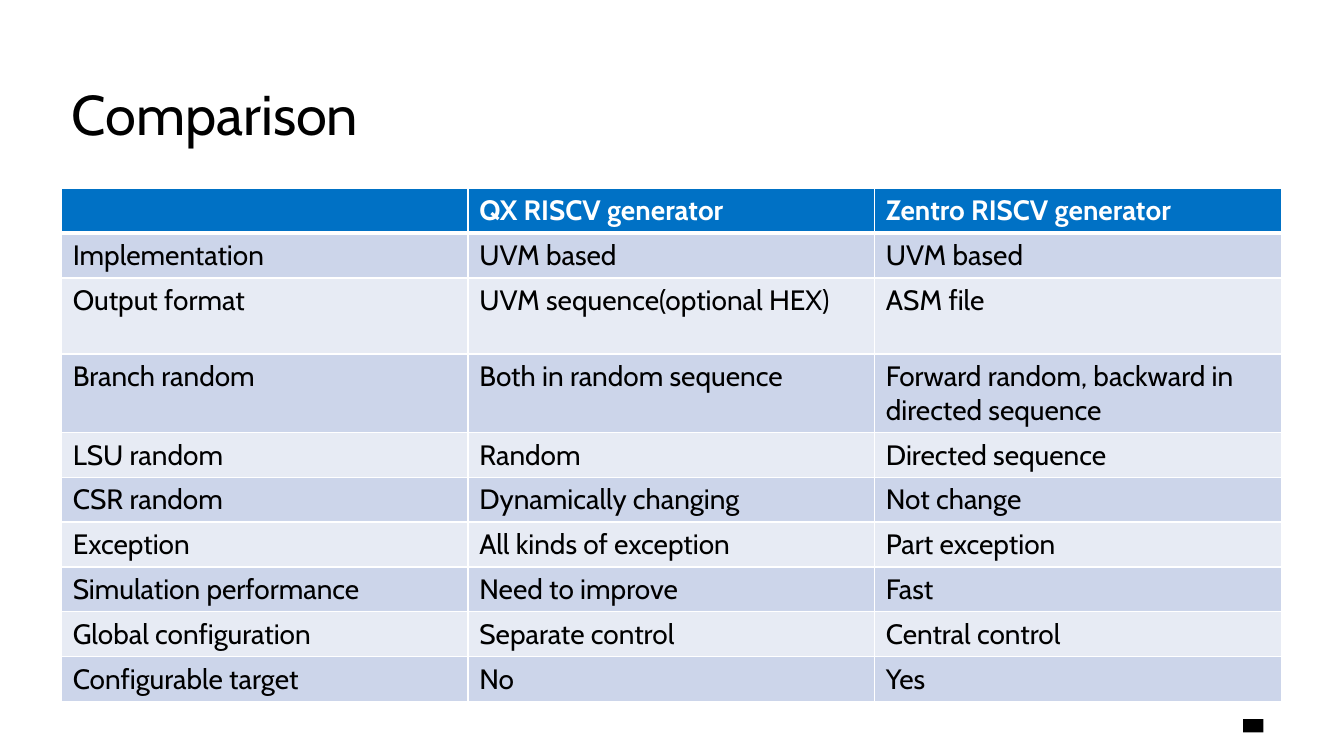
import dataclasses

import pptx
import pptx.dml.color
import pptx.enum.shapes
import pptx.enum.text
import pptx.oxml
import pptx.oxml.ns
import pptx.util

Inches = pptx.util.Inches
Pt = pptx.util.Pt


@dataclasses.dataclass(frozen=True)
class Theme:
    font: str = "Cabin"
    title_size: float = 36
    table_size: float = 18
    black: str = "000000"
    white: str = "FFFFFF"
    header: str = "0071C5"
    bands: tuple = ("CCD5EA", "E7EBF4")
    border: float = 0.96
    header_border: float = 3


THEME = Theme()

COMPARISON = [
    ("", "QX RISCV generator", "Zentro RISCV generator"),
    ("Implementation", "UVM based", "UVM based"),
    ("Output format", "UVM sequence(optional HEX)", "ASM file"),
    ("Branch random", "Both in random sequence", "Forward random, backward in directed sequence"),
    ("LSU random", "Random", "Directed sequence"),
    ("CSR random", "Dynamically changing", "Not change"),
    ("Exception", "All kinds of exception", "Part exception"),
    ("Simulation performance", "Need to improve", "Fast"),
    ("Global configuration", "Separate control", "Central control"),
    ("Configurable target", "No", "Yes"),
]
TALL_ROWS = (2, 3)


def rgb(color):
    return pptx.dml.color.RGBColor.from_string(color)


def add_run(paragraph, text, size, color, bold=False):
    run = paragraph.add_run()
    run.text = text
    run.font.name = THEME.font
    run.font.size = Pt(size)
    run.font.bold = bold
    run.font.color.rgb = rgb(color)


def add_title(slide, text):
    box = slide.shapes.add_textbox(Inches(0.54), Inches(0.72), Inches(10.91), Inches(0.65))
    frame = box.text_frame
    frame.word_wrap = True
    frame.vertical_anchor = pptx.enum.text.MSO_ANCHOR.BOTTOM
    paragraph = frame.paragraphs[0]
    paragraph.line_spacing = 0.9
    add_run(paragraph, text, THEME.title_size, THEME.black)


def set_borders(cell, top, bottom):
    properties = cell._tc.get_or_add_tcPr()
    widths = {"lnL": THEME.border, "lnR": THEME.border, "lnT": top, "lnB": bottom}
    for side, width in widths.items():
        properties.append(pptx.oxml.parse_xml(
            f'<a:{side} {pptx.oxml.ns.nsdecls("a")} w="{Pt(width)}">'
            f'<a:solidFill><a:srgbClr val="{THEME.white}"/></a:solidFill></a:{side}>'
        ))


def style_cell(cell, text, row_index):
    is_header = row_index == 0
    set_borders(
        cell,
        THEME.header_border if row_index == 1 else THEME.border,
        THEME.header_border if is_header else THEME.border,
    )
    cell.fill.solid()
    cell.fill.fore_color.rgb = rgb(THEME.header if is_header else THEME.bands[(row_index - 1) % 2])
    if text:
        color = THEME.white if is_header else THEME.black
        add_run(cell.text_frame.paragraphs[0], text, THEME.table_size, color, is_header)


def add_comparison_table(slide, rows):
    table = slide.shapes.add_table(
        len(rows), len(rows[0]), Inches(0.55), Inches(1.68), Inches(10.88), Inches(4.48)
    ).table
    for column in table.columns:
        column.width = Inches(3.63)
    for row_index, texts in enumerate(rows):
        table.rows[row_index].height = Inches(0.68 if row_index in TALL_ROWS else 0.39)
        for column_index, text in enumerate(texts):
            style_cell(table.cell(row_index, column_index), text, row_index)


def add_footer_mark(slide):
    shape = slide.shapes.add_shape(
        pptx.enum.shapes.MSO_SHAPE.RECTANGLE,
        Inches(11.1), Inches(6.42), Inches(0.18), Inches(0.12),
    )
    shape.shadow.inherit = False
    shape.fill.solid()
    shape.fill.fore_color.rgb = rgb(THEME.black)
    shape.line.fill.background()


def main():
    presentation = pptx.Presentation()
    presentation.slide_width = Inches(12)
    presentation.slide_height = Inches(6.75)
    slide = presentation.slides.add_slide(presentation.slide_layouts[6])
    add_footer_mark(slide)
    add_title(slide, "Comparison")
    add_comparison_table(slide, COMPARISON)
    presentation.save("out.pptx")


if __name__ == "__main__":
    main()
